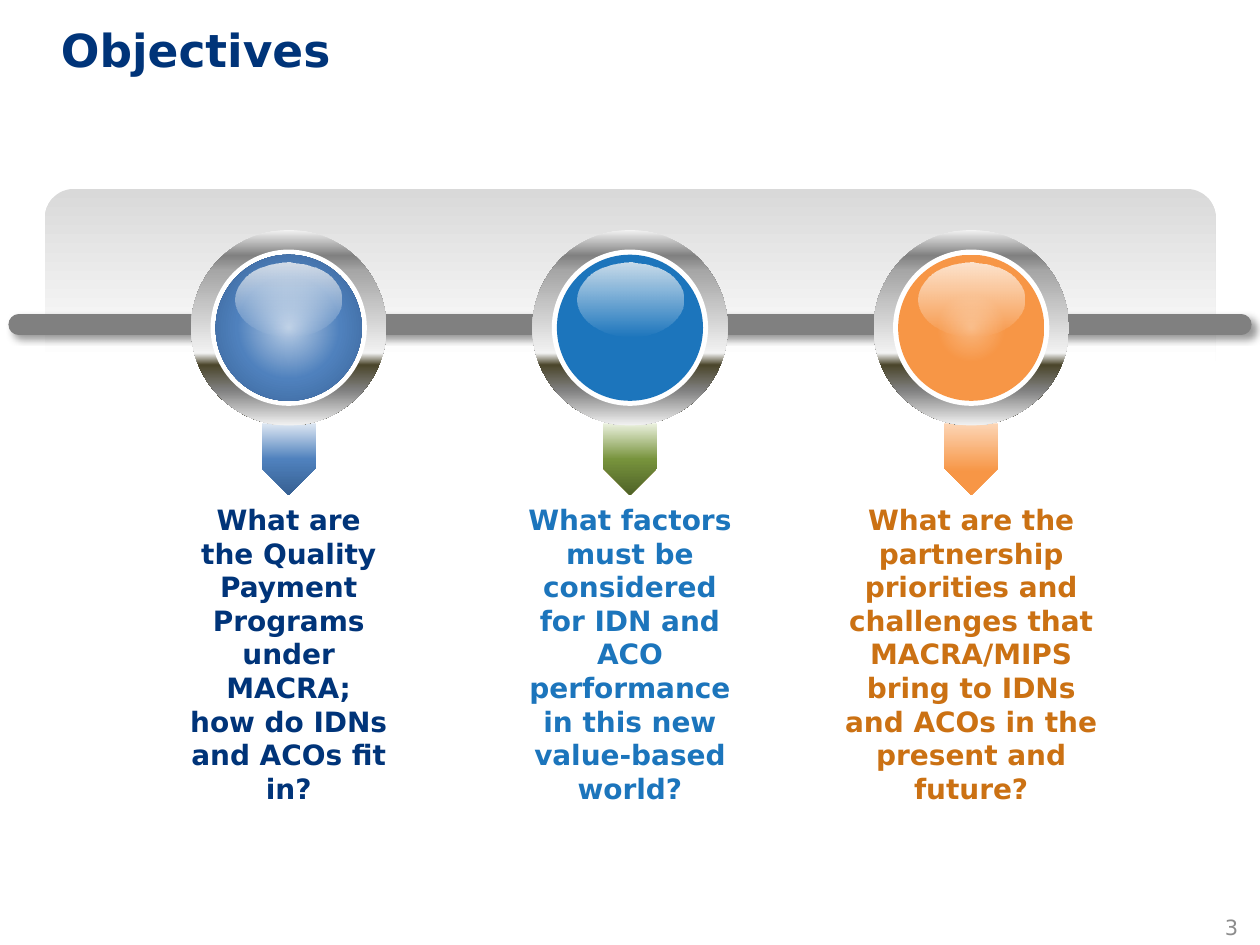
import pptx
import pptx.dml.color
import pptx.enum.shapes
import pptx.enum.text
import pptx.oxml
import pptx.oxml.ns
import pptx.util

Pt = pptx.util.Pt
RGBColor = pptx.dml.color.RGBColor
SHAPE = pptx.enum.shapes.MSO_SHAPE
ALIGN = pptx.enum.text.PP_ALIGN
NS = pptx.oxml.ns.nsdecls("a")

COLORS = {
    "navy": "003479", "blue": "1C75BC", "orange": "CB7113",
    "number": "8C8C8C", "rail": "808080", "white": "FFFFFF",
    "panel": "D9D9D9", "shadow": "000000",
}
STEEL = [(0, "F2F2F2"), (13, "808080"), (21, "A6A6A6"), (63, "F2F2F2"),
         (69, "4A452A"), (82, "808080"), (100, "F2F2F2")]
GLOSS = [(0, "FFFCF9", 77), (100, "FFFFFF", 0)]

deck = pptx.Presentation()
deck.slide_width, deck.slide_height = Pt(720), Pt(540)
page = deck.slides.add_slide(deck.slide_layouts[6])


def add_filled(kind, left, top, width, height, fill, angle=90, radial=False):
    """Add a borderless shape; fill is a hex string or a list of stops."""
    shape = page.shapes.add_shape(kind, Pt(left), Pt(top), Pt(width), Pt(height))
    shape.shadow.inherit = False
    shape.line.fill.background()
    if isinstance(fill, str):
        shape.fill.solid()
        shape.fill.fore_color.rgb = RGBColor.from_string(fill)
        return shape
    stops = ""
    for position, color, *alpha in fill:
        opacity = f'<a:alpha val="{alpha[0] * 1000}"/>' if alpha else ""
        stops += (f'<a:gs pos="{position * 1000}">'
                  f'<a:srgbClr val="{color}">{opacity}</a:srgbClr></a:gs>')
    if radial:
        course = ('<a:path path="circle"><a:fillToRect l="50000" t="50000" '
                  'r="50000" b="50000"/></a:path>')
    else:
        course = f'<a:lin ang="{angle * 60000}" scaled="0"/>'
    gradient = pptx.oxml.parse_xml(
        f'<a:gradFill {NS} rotWithShape="1"><a:gsLst>{stops}</a:gsLst>{course}</a:gradFill>')
    shape.element.spPr.insert(2, gradient)  # right after the geometry
    return shape


def add_text(text, left, top, width, height, size, color, align, bold=True, inset=True):
    box = page.shapes.add_textbox(Pt(left), Pt(top), Pt(width), Pt(height))
    frame = box.text_frame
    frame.word_wrap = True
    if not inset:
        frame.margin_left = frame.margin_right = 0
        frame.margin_top = frame.margin_bottom = 0
    para = frame.paragraphs[0]
    para.text = text
    para.alignment = align
    para.font.name = "DejaVu Sans"
    para.font.size = Pt(size)
    para.font.bold = bold
    para.font.color.rgb = RGBColor.from_string(COLORS[color])
    return para


# Title and page number
title = add_text("Objectives", 34.8, 11.5, 648, 62.6, 26, "navy", ALIGN.LEFT, inset=False)
title.line_spacing = Pt(32)
add_text("3", 678, 522.7, 29.5, 8.6, 12, "number", ALIGN.RIGHT, bold=False, inset=False)

# Panel behind the rail
add_filled(SHAPE.ROUND_2_SAME_RECTANGLE, 25.7, 108, 669, 98.6,
           [(0, COLORS["panel"]), (100, COLORS["white"])])

# Rail with round ends and a soft shadow
rail = page.shapes.add_connector(pptx.enum.shapes.MSO_CONNECTOR.STRAIGHT,
                                 Pt(709.2), Pt(185.5), Pt(10.8), Pt(185.5))
rail.line.width = Pt(12)
rail.line.color.rgb = RGBColor.from_string(COLORS["rail"])
rail.line._get_or_add_ln().set("cap", "rnd")
rail.element.spPr.append(pptx.oxml.parse_xml(
    f'<a:effectLst {NS}><a:outerShdw blurRad="{Pt(4)}" dist="{Pt(3)}" dir="2700000" '
    f'algn="tl" rotWithShape="0"><a:srgbClr val="{COLORS["shadow"]}">'
    '<a:alpha val="40000"/></a:srgbClr></a:outerShdw></a:effectLst>'))

# Objectives: question, text colour, text width, arrow fill, button fill
objectives = [
    ("What are the Quality Payment Programs under MACRA; how do IDNs and ACOs fit in?",
     "navy", 127.4,
     [(0, "DCE6F2"), (50, "4F81BD"), (100, "376092")],
     [(0, "B9CDE5"), (50, "4F81BD"), (100, "376092")]),
    ("What factors must be considered for IDN and ACO performance in this new "
     "value-based world?",
     "blue", 134.6,
     [(0, "EBF1DE"), (50, "77933C"), (100, "4F6228")],
     COLORS["blue"]),
    ("What are the partnership priorities and challenges that MACRA/MIPS bring to "
     "IDNs and ACOs in the present and future?",
     "orange", 158.4,
     [(0, "FCD5B5"), (67, "F79646")],
     [(0, "F9B67D"), (34, "F79646")]),
]
FIRST_CENTER, STEP, BUTTON_MIDDLE = 165, 195, 187.3

for index, (question, color, width, arrow_fill, button_fill) in enumerate(objectives):
    center = FIRST_CENTER + index * STEP

    # Arrow pointing down to the question
    arrow = add_filled(SHAPE.PENTAGON, center - 20.5, 247, 41, 31, arrow_fill, angle=0)
    arrow.rotation = 90

    # Steel ring, white rim, coloured button
    for diameter, fill in ((111.6, STEEL), (89.3, COLORS["white"]), (83.5, button_fill)):
        add_filled(SHAPE.OVAL, center - diameter / 2, BUTTON_MIDDLE - diameter / 2,
                   diameter, diameter, fill, radial=fill is button_fill)

    # Gloss on the button
    add_filled(SHAPE.OVAL, center - 30.2, 150.2, 60.5, 41.8, GLOSS)

    add_text(question, center - width / 2, 283.7, width, 181.4, 16, color, ALIGN.CENTER)

deck.save("out.pptx")
